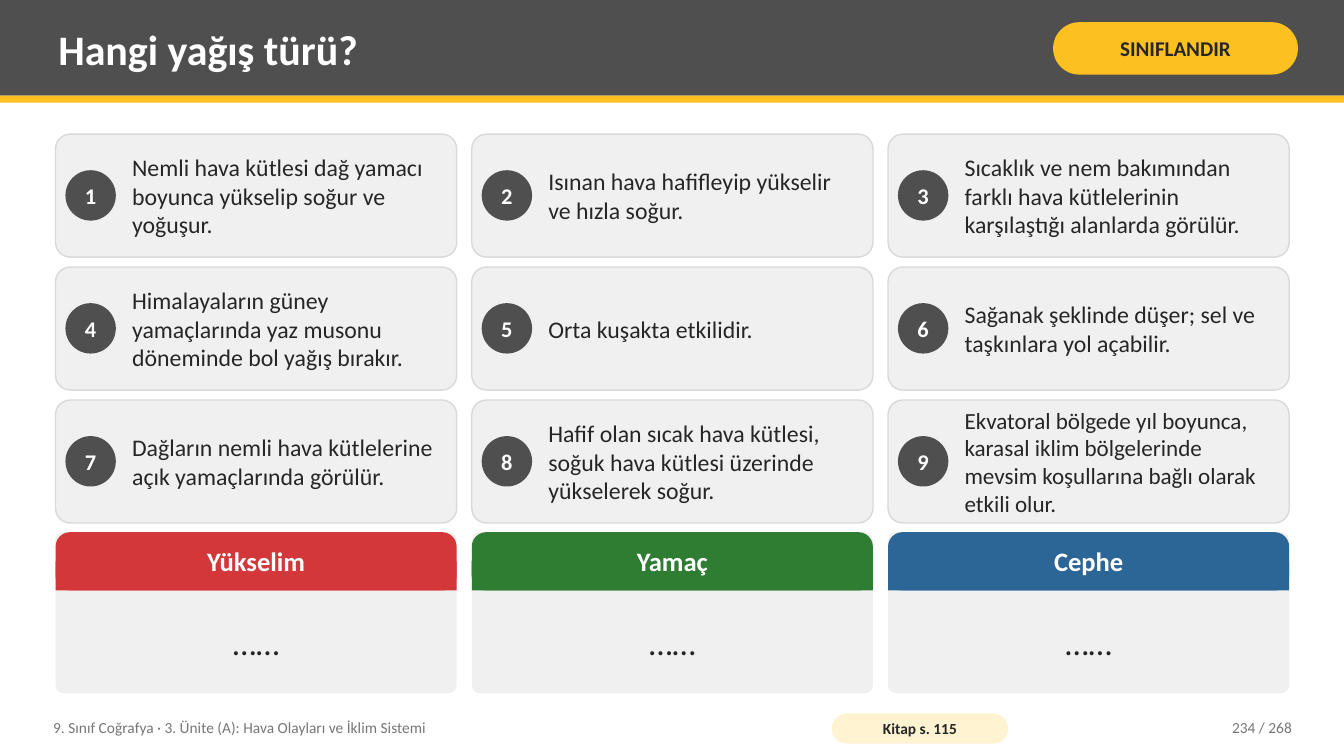
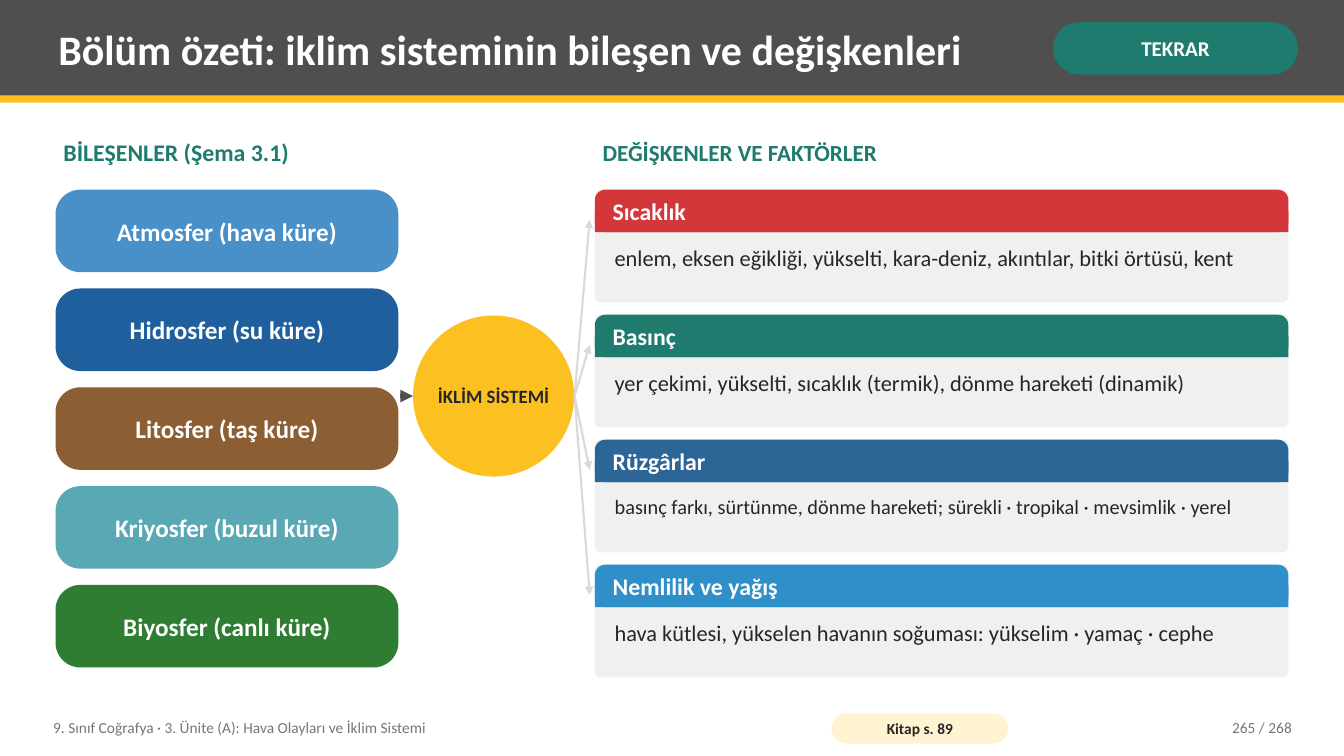
from lxml import etree
from pptx import Presentation
from pptx.dml.color import RGBColor
from pptx.enum.shapes import MSO_CONNECTOR, MSO_SHAPE as SHAPE
from pptx.enum.text import MSO_ANCHOR as ANCHOR, MSO_AUTO_SIZE, PP_ALIGN as ALIGN
from pptx.oxml.ns import qn
from pptx.util import Cm, Pt

# Colours and font
WHITE = RGBColor(0xFF, 0xFF, 0xFF)
INK = RGBColor(0x26, 0x26, 0x26)
CHARCOAL = RGBColor(0x4F, 0x4F, 0x4F)
MUTED = RGBColor(0x76, 0x76, 0x76)
RULE = RGBColor(0xD9, 0xD9, 0xD9)
PALE = RGBColor(0xF0, 0xF0, 0xF0)
YELLOW = RGBColor(0xFC, 0xC0, 0x21)
CREAM = RGBColor(0xFF, 0xF3, 0xD1)
RED = RGBColor(0xD3, 0x37, 0x3A)
GREEN = RGBColor(0x2E, 0x7D, 0x32)
BLUE = RGBColor(0x2C, 0x66, 0x96)
TEAL = RGBColor(0x1E, 0x7B, 0x6E)
RAIN = RGBColor(0x2F, 0x8F, 0xC9)
SKY = RGBColor(0x4A, 0x90, 0xC8)
WATER = RGBColor(0x1F, 0x5F, 0x9E)
EARTH = RGBColor(0x8B, 0x5E, 0x34)
ICE = RGBColor(0x5B, 0xA8, 0xB5)
FONT = "Calibri"


def write(shape, text, size, color=INK, bold=False, align=ALIGN.LEFT,
          anchor=ANCHOR.MIDDLE, inset=(0.2, 0.1), wrap=True):
    side, top = Cm(inset[0]), Cm(inset[1])
    frame = shape.text_frame
    frame_format = {"auto_size": MSO_AUTO_SIZE.NONE, "word_wrap": wrap,
                    "vertical_anchor": anchor, "margin_left": side,
                    "margin_right": side, "margin_top": top, "margin_bottom": top}
    for name, value in frame_format.items():
        setattr(frame, name, value)
    para = frame.paragraphs[0]
    para.alignment = align
    span = para.add_run()
    span.text = text
    for name, value in {"name": FONT, "size": Pt(size), "bold": bold}.items():
        setattr(span.font, name, value)
    span.font.color.rgb = color


def add_box(page, place, kind=None, fill=None, radius=None, line=None):
    """Add a filled preset shape, or a plain text box when no kind is given."""
    place = [Cm(value) for value in place]
    if kind is None:
        return page.shapes.add_textbox(*place)
    box = page.shapes.add_shape(kind, *place)
    box.shadow.inherit = False
    box.fill.solid()
    box.fill.fore_color.rgb = fill
    if radius is not None:
        box.adjustments[0] = radius
    if line is None:
        box.line.fill.background()
    else:
        box.line.color.rgb = line
        box.line.width = Pt(1)
    return box


deck = Presentation()
deck.slide_width, deck.slide_height = Cm(33.87), Cm(19.05)
layout = deck.slide_layouts[5]
pages = [deck.slides.add_slide(layout) for _ in range(2)]
sort_page, summary_page = pages

# Shared band, stripe and footer, kept on the layout behind the title
band = add_box(sort_page, (0, 0, 33.87, 2.41), SHAPE.RECTANGLE, CHARCOAL)
stripe = add_box(sort_page, (0, 2.41, 33.87, 0.18), SHAPE.RECTANGLE, YELLOW)
footer = add_box(sort_page, (1.14, 17.88, 19.3, 0.91))
write(footer, "9. Sınıf Coğrafya · 3. Ünite (A): Hava Olayları ve İklim Sistemi", 11, MUTED)
layout_title = layout.placeholders[0]
for number, shape in enumerate((band, stripe, footer), 20):
    shape.element.nvSpPr.cNvPr.set("id", str(number))
    layout_title.element.addprevious(shape.element)

# Title, badge, book reference and page number
headings = [
    ("Hangi yağış türü?", "SINIFLANDIR", YELLOW, INK, "Kitap s. 115", "234 / 268"),
    ("Bölüm özeti: iklim sisteminin bileşen ve değişkenleri", "TEKRAR", TEAL, WHITE,
     "Kitap s. 89", "265 / 268"),
]
title_place = {"left": 1.27, "top": 0.18, "width": 24.77, "height": 2.08}
for page, (title, label, fill, color, book, number) in zip(pages, headings):
    for name, value in title_place.items():
        setattr(page.shapes.title, name, Cm(value))
    write(page.shapes.title, title, 30, WHITE, True)
    badge = add_box(page, (26.54, 0.56, 6.17, 1.32), SHAPE.ROUNDED_RECTANGLE, fill, 0.5)
    write(badge, label, 15, color, True, ALIGN.CENTER, inset=(0.13, 0.05))
    reference = add_box(page, (20.96, 17.98, 4.45, 0.76), SHAPE.ROUNDED_RECTANGLE, CREAM, 0.5)
    write(reference, book, 11, INK, True, ALIGN.CENTER, inset=(0.1, 0))
    write(add_box(page, (28.7, 17.88, 4.06, 0.91)), number, 11, MUTED, align=ALIGN.RIGHT)

# Sorting page: numbered statements in a 3 by 3 grid
LEFT, COLUMN_STEP, COLUMN_WIDTH = 1.4, 10.49, 10.11
ROW_STEP, CARD_HEIGHT = 3.35, 3.1
statements = [
    "Nemli hava kütlesi dağ yamacı boyunca yükselip soğur ve yoğuşur.",
    "Isınan hava hafifleyip yükselir ve hızla soğur.",
    "Sıcaklık ve nem bakımından farklı hava kütlelerinin karşılaştığı alanlarda görülür.",
    "Himalayaların güney yamaçlarında yaz musonu döneminde bol yağış bırakır.",
    "Orta kuşakta etkilidir.",
    "Sağanak şeklinde düşer; sel ve taşkınlara yol açabilir.",
    "Dağların nemli hava kütlelerine açık yamaçlarında görülür.",
    "Hafif olan sıcak hava kütlesi, soğuk hava kütlesi üzerinde yükselerek soğur.",
    "Ekvatoral bölgede yıl boyunca, karasal iklim bölgelerinde mevsim koşullarına "
    "bağlı olarak etkili olur.",
]
for index, statement in enumerate(statements):
    row, column = divmod(index, 3)
    x, y = LEFT + column * COLUMN_STEP, 3.38 + row * ROW_STEP
    add_box(sort_page, (x, y, COLUMN_WIDTH, CARD_HEIGHT), SHAPE.ROUNDED_RECTANGLE,
            PALE, 0.12, RULE)
    disc = add_box(sort_page, (x + 0.25, y + 0.91, 1.27, 1.27), SHAPE.OVAL, CHARCOAL)
    write(disc, str(index + 1), 16, WHITE, True, ALIGN.CENTER, inset=(0, 0), wrap=False)
    write(add_box(sort_page, (x + 1.73, y, 8.2, CARD_HEIGHT)), statement,
          16.5 if len(statement) > 90 else 17)

# Summary page: column headings
for x, width, text, size in [(LEFT, 8.64, "BİLEŞENLER (Şema 3.1)", 17),
                             (14.99, 7.62, "DEĞİŞKENLER VE FAKTÖRLER", 16.5)]:
    write(add_box(summary_page, (x, 3.38, width, 1.14)), text, size, TEAL, True,
          anchor=ANCHOR.TOP)

# Summary page: components and the central circle
LIST_TOP = 4.78
components = [("Atmosfer (hava küre)", SKY), ("Hidrosfer (su küre)", WATER),
              ("Litosfer (taş küre)", EARTH), ("Kriyosfer (buzul küre)", ICE),
              ("Biyosfer (canlı küre)", GREEN)]
for index, (text, fill) in enumerate(components):
    component = add_box(summary_page, (LEFT, LIST_TOP + index * 2.49, 8.64, 2.08),
                        SHAPE.ROUNDED_RECTANGLE, fill, 0.3)
    write(component, text, 18, WHITE, True, ALIGN.CENTER, inset=(0.15, 0))
circle = add_box(summary_page, (10.41, 7.95, 4.06, 4.06), SHAPE.OVAL, YELLOW)
write(circle, "İKLİM SİSTEMİ", 13.4, INK, True, ALIGN.CENTER, inset=(0, 0), wrap=False)

# Panels with a coloured heading: categories on one page, variables on the other
categories = [("Yükselim", RED), ("Yamaç", GREEN), ("Cephe", BLUE)]
variables = [
    ("Sıcaklık", RED, 16,
     "enlem, eksen eğikliği, yükselti, kara-deniz, akıntılar, bitki örtüsü, kent"),
    ("Basınç", TEAL, 16, "yer çekimi, yükselti, sıcaklık (termik), dönme hareketi (dinamik)"),
    ("Rüzgârlar", BLUE, 14.5,
     "basınç farkı, sürtünme, dönme hareketi; sürekli · tropikal · mevsimlik · yerel"),
    ("Nemlilik ve yağış", RAIN, 16,
     "hava kütlesi, yükselen havanın soğuması: yükselim · yamaç · cephe"),
]
VARIABLE_STEP = 3.15
category_style = (1.47, 19, ALIGN.CENTER, ANCHOR.MIDDLE)
variable_style = (1.07, 17, ALIGN.LEFT, ANCHOR.TOP)
panels = [(sort_page, (LEFT + index * COLUMN_STEP, 13.41, COLUMN_WIDTH, 4.06),
           category_style, name, fill, 24, "……")
          for index, (name, fill) in enumerate(categories)]
panels += [(summary_page, (14.99, LIST_TOP + index * VARIABLE_STEP, 17.48, 2.84),
            variable_style, *variable)
           for index, variable in enumerate(variables)]
for page, place, style, name, fill, size, body in panels:
    x, y, width, height = place
    head, head_size, align, anchor = style
    add_box(page, place, SHAPE.ROUNDED_RECTANGLE, PALE, 0.05)
    add_box(page, (x, y, width, head), SHAPE.ROUNDED_RECTANGLE, fill, 0.25)
    add_box(page, (x, y + head / 2, width, head / 2), SHAPE.RECTANGLE, fill)
    write(add_box(page, (x + 0.25, y, width - 0.5, head)), name, head_size, WHITE, True, align)
    write(add_box(page, (x + 0.3, y + head + 0.2, width - 0.6, height - head - 0.4)),
          body, size, align=align, anchor=anchor)

# Arrows into the circle and out to each variable
MIDDLE = 9.98
arrows = [(10.08, 10.41, MIDDLE, CHARCOAL, 3)]
arrows += [(14.48, 14.86, LIST_TOP + 0.76 + index * VARIABLE_STEP, RULE, 1.5)
           for index in range(len(variables))]
for start, end, end_y, color, weight in arrows:
    arrow = summary_page.shapes.add_connector(
        MSO_CONNECTOR.STRAIGHT, Cm(start), Cm(MIDDLE), Cm(end), Cm(end_y))
    arrow.line.color.rgb = color
    arrow.line.width = Pt(weight)
    etree.SubElement(arrow.line._get_or_add_ln(), qn("a:tailEnd"), type="triangle")
    etree.SubElement(arrow.element.spPr, qn("a:effectLst"))

deck.save("out.pptx")
